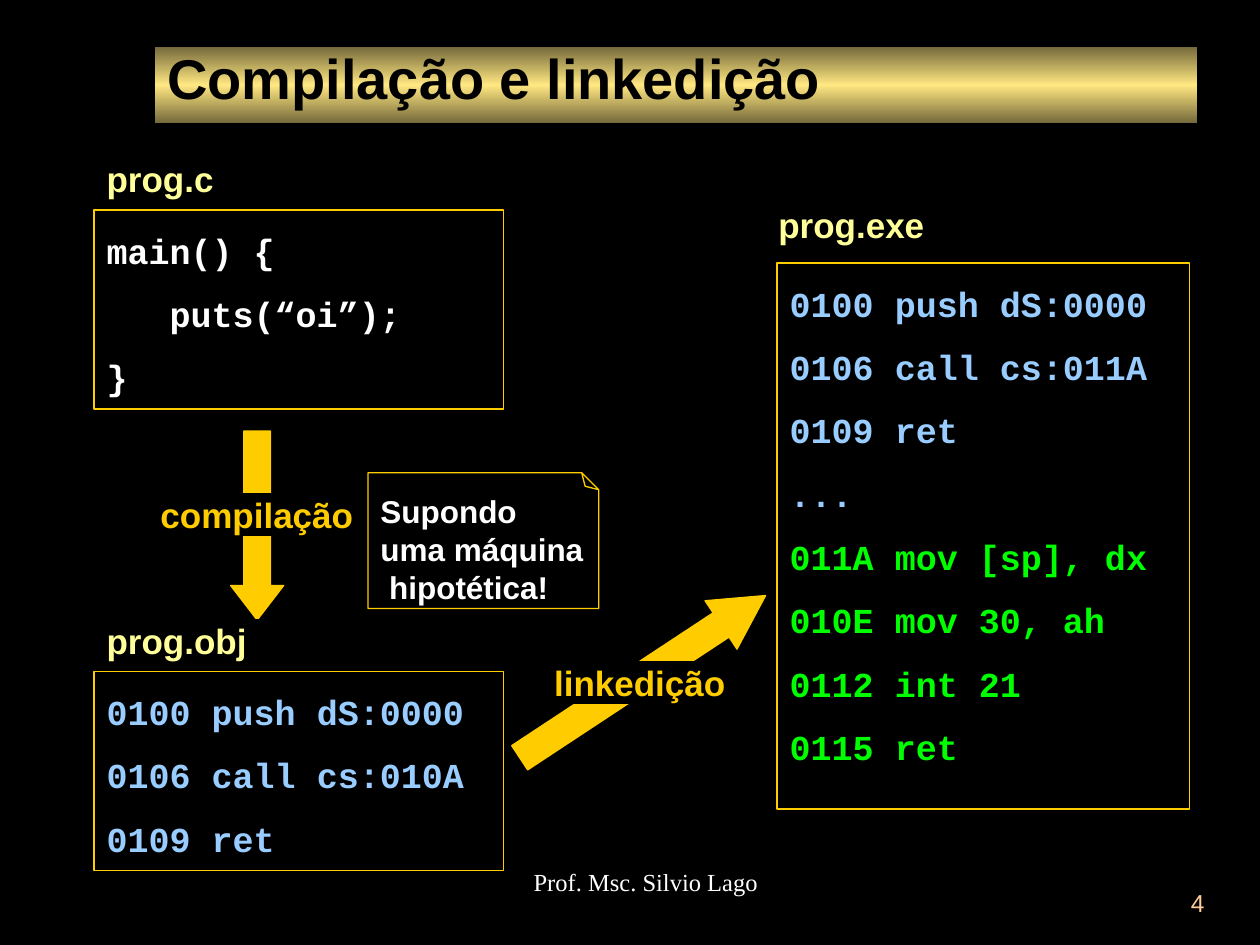
from copy import deepcopy
from dataclasses import dataclass
from typing import Any, Optional

from lxml import etree
from pptx import Presentation
from pptx import util as u
from pptx.dml.color import RGBColor
from pptx.enum import shapes, text
from pptx.oxml import ns


@dataclass(frozen=True)
class Theme:
    back: str = "000000"
    gold: str = "FFCC00"
    pale: str = "FFFF99"
    white: str = "FFFFFF"
    blue: str = "99CCFF"
    green: str = "00FF00"
    peach: str = "FFCC99"
    bar: tuple[str, ...] = ("73683A", "FFE781", "73683A")
    sans: str = "Arial"
    mono: str = "Courier New"
    serif: str = "Times New Roman"
    head: int = 32
    body: int = 20
    note: int = 18
    foot: int = 14


@dataclass(frozen=True)
class Box:
    left: float
    top: float
    width: float
    height: float

    def place(self) -> list[u.Length]:
        return [u.Cm(n) for n in (self.left, self.top, self.width, self.height)]


@dataclass(frozen=True)
class Line:
    words: str
    color: str
    inset: float = 0


@dataclass(frozen=True)
class Label:
    box: Box
    line: Line
    align: Any = text.PP_ALIGN.LEFT


@dataclass(frozen=True)
class Panel:
    box: Box
    lines: list[Line]


@dataclass(frozen=True)
class Arrow:
    box: Box
    tip: float
    turn: float = 0


T = Theme()
MID = text.MSO_ANCHOR.MIDDLE
TOP = text.MSO_ANCHOR.TOP
LEFT, CENTER, RIGHT = text.PP_ALIGN.LEFT, text.PP_ALIGN.CENTER, text.PP_ALIGN.RIGHT
KIND = shapes.MSO_SHAPE


def apply(item: Any, **values: Any) -> None:
    for key, value in values.items():
        setattr(item, key, value)


def rgb(code: str) -> RGBColor:
    return RGBColor.from_string(code)


def draw(slide: Any, kind: Any, box: Box, fill: Optional[str] = None,
         edge: Optional[str] = None, width: float = 0.75) -> Any:
    shape = slide.shapes.add_shape(kind, *box.place())
    shape.shadow.inherit = False
    if fill:
        shape.fill.solid()
        shape.fill.fore_color.rgb = rgb(fill)
    else:
        shape.fill.background()
    if edge:
        shape.line.color.rgb = rgb(edge)
        shape.line.width = u.Pt(width)
    else:
        shape.line.fill.background()
    return shape


def write(shape: Any, lines: list[Line], face: str, size: int, bold: bool = True,
          frame: Optional[dict] = None, para: Optional[dict] = None) -> None:
    area = shape.text_frame
    apply(area, **{"word_wrap": True, "vertical_anchor": TOP, **(frame or {})})
    for i, line in enumerate(lines):
        par = area.add_paragraph() if i else area.paragraphs[0]
        apply(par, **{"alignment": LEFT, **(para or {})})
        if line.inset:
            par._p.get_or_add_pPr().set("marL", str(u.Cm(line.inset)))
        run = par.add_run()
        run.text = line.words
        apply(run.font, name=face, size=u.Pt(size), bold=bold)
        run.font.color.rgb = rgb(line.color)


def title(slide: Any, box: Box, words: str) -> None:
    shape = draw(slide, KIND.RECTANGLE, box)
    shape.fill.gradient()
    shape.fill.gradient_angle = 270
    first = shape.fill.gradient_stops[0]._gs
    first.addnext(deepcopy(first))
    for stop, spot, code in zip(shape.fill.gradient_stops, (0, 0.5, 1), T.bar):
        stop.position = spot
        stop.color.rgb = rgb(code)
    write(shape, [Line(words, T.back)], T.sans, T.head,
          frame={"vertical_anchor": MID, "margin_top": 0, "margin_bottom": u.Cm(0.33)})


def panel(slide: Any, item: Panel) -> None:
    shape = draw(slide, KIND.RECTANGLE, item.box, edge=T.gold, width=1)
    write(shape, item.lines, T.mono, T.body,
          para={"line_spacing": 1.3, "space_before": u.Pt(5)})


def label(slide: Any, item: Label) -> None:
    shape = draw(slide, KIND.RECTANGLE, item.box, T.back, T.back)
    write(shape, [item.line], T.sans, T.body,
          frame={"vertical_anchor": MID, "word_wrap": False},
          para={"alignment": item.align})


def arrow(slide: Any, item: Arrow) -> None:
    shape = draw(slide, KIND.DOWN_ARROW, item.box, T.gold, T.gold)
    shape.adjustments[0] = 0.5
    shape.adjustments[1] = item.tip
    shape.rotation = item.turn


def note(slide: Any, box: Box, lines: list[Line]) -> None:
    shape = draw(slide, KIND.FOLDED_CORNER, box, edge=T.gold)
    form = shape._element.spPr
    fold = form.find(ns.qn("a:prstGeom")).find(ns.qn("a:avLst"))
    for old in list(fold):
        fold.remove(old)
    etree.SubElement(fold, ns.qn("a:gd"), name="adj", fmla="val 12500")
    form.get_or_add_xfrm().set("flipV", "1")
    write(shape, lines, T.sans, T.note,
          frame={"vertical_anchor": MID, "word_wrap": False})
    shape.text_frame._txBody.bodyPr.set("rot", str(180 * 60000))


def footer(slide: Any, box: Box, line: Line, face: str, align: Any) -> None:
    shape = slide.shapes.add_textbox(*box.place())
    write(shape, [line], face, T.foot, bold=False, para={"alignment": align})


def tint(color: str, *rows: str) -> list[Line]:
    return [Line(row, color) for row in rows]


PANELS = [
    Panel(Box(1.9, 4.24, 8.25, 4.01), [
        Line("main() {", T.white), Line("puts(“oi”);", T.white, 1.27), Line("}", T.white)]),
    Panel(Box(1.9, 13.54, 8.25, 4.01),
          tint(T.blue, "0100 push dS:0000", "0106 call cs:010A", "0109 ret")),
    Panel(Box(15.67, 5.31, 8.31, 11),
          tint(T.blue, "0100 push dS:0000", "0106 call cs:011A", "0109 ret", "...")
          + tint(T.green, "011A mov [sp], dx", "010E mov 30, ah", "0112 int 21", "0115 ret")),
]
ARROWS = [
    Arrow(Box(12.37, 10.67, 1.17, 5.94), 0.92, 236.6),
    Arrow(Box(4.65, 8.69, 1.07, 3.81), 0.65),
]
LABELS = [
    *(Label(Box(left, top, 5.08, tall), Line(name, T.pale)) for name, left, top, tall in (
        ("prog.c", 1.9, 3.18, 0.84), ("prog.obj", 1.9, 12.5, 0.84), ("prog.exe", 15.44, 4.01, 1.02))),
    *(Label(Box(left, top, 5.08, 0.84), Line(name, T.gold), CENTER) for name, left, top in (
        ("linkedição", 10.36, 13.34), ("compilação", 2.64, 9.96))),
]


def main() -> None:
    deck = Presentation()
    apply(deck, slide_width=u.Cm(25.4), slide_height=u.Cm(19.05))
    slide = deck.slides.add_slide(deck.slide_layouts[6])
    slide.background.fill.solid()
    slide.background.fill.fore_color.rgb = rgb(T.back)
    title(slide, Box(3.12, 0.94, 21.01, 1.55), "Compilação e linkedição")
    for maker, items in ((arrow, ARROWS), (label, LABELS), (panel, PANELS)):
        for item in items:
            maker(slide, item)
    note(slide, Box(7.42, 9.53, 4.65, 2.74), tint(T.white, "Supondo", "uma máquina", " hipotética!"))
    footer(slide, Box(8.69, 17.35, 8.05, 1.27),
           Line("Prof. Msc. Silvio Lago", T.white, 0.61), T.serif, CENTER)
    footer(slide, Box(19.25, 17.78, 5.28, 1.27), Line("4", T.peach), T.sans, RIGHT)
    deck.save("out.pptx")


if __name__ == "__main__":
    main()
